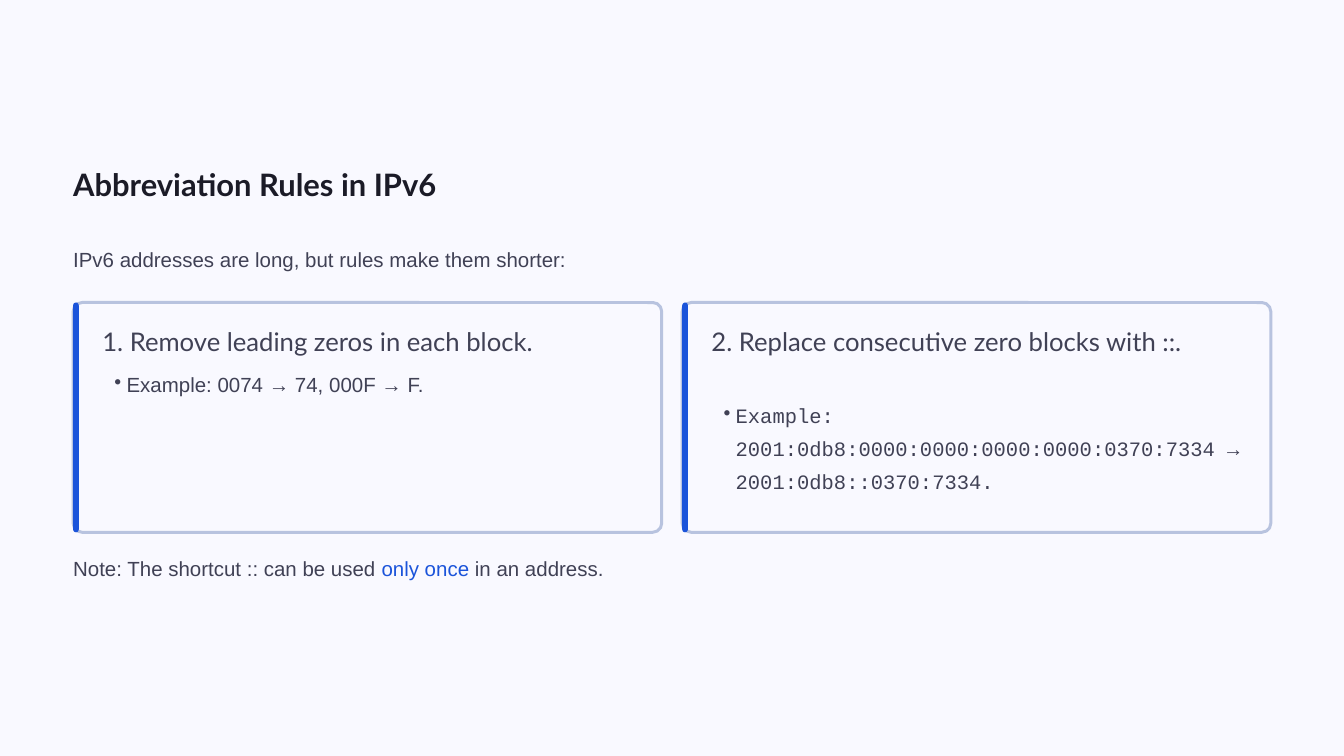
from lxml.etree import SubElement
from pptx import Presentation
from pptx.dml.color import RGBColor
from pptx.enum.shapes import MSO_SHAPE
from pptx.enum.text import MSO_ANCHOR, MSO_AUTO_SIZE, PP_ALIGN
from pptx.oxml.ns import qn
from pptx.util import Pt

# Content
TITLE = "Abbreviation Rules in IPv6"
INTRO = [("IPv6 addresses are long, but rules make them shorter:", "body")]
NOTE = [
    ("Note: The shortcut :: can be used ", "body"),
    ("only once", "accent"),
    (" in an address.", "body"),
]
# Each rule: heading, heading height, example, example style, example top, example height
RULES = [
    ("1. Remove leading zeros in each block.", 36.7,
     "Example: 0074 → 74, 000F → F.", "body", 389.5, 46),
    ("2. Replace consecutive zero blocks with ::.", 72,
     "Example: 2001:0db8:0000:0000:0000:0000:0370:7334 → 2001:0db8::0370:7334.",
     "code", 422.6, 122.4),
]

# Format
COLORS = {"background": "F9F9FF", "title": "1B1B27", "body": "404155",
          "accent": "1B54DA", "border": "B8C3DF"}
STYLES = {
    "title": ({"name": "Lato", "size": Pt(33.1), "bold": True}, "title"),
    "heading": ({"name": "Lato", "size": Pt(27.5), "bold": False}, "body"),
    "body": ({"name": "Arial", "size": Pt(21.9), "bold": False}, "body"),
    "accent": ({"name": "Arial", "size": Pt(21.9), "bold": False}, "accent"),
    "code": ({"name": "Courier New", "size": Pt(21.9), "bold": False}, "body"),
}
SPACING = {"title": 41.2, "heading": 34.4, "body": 35.6, "code": 35.6}
FRAME = {"margin_left": 0, "margin_top": 0, "margin_right": 0, "margin_bottom": 0,
         "word_wrap": True, "vertical_anchor": MSO_ANCHOR.TOP,
         "auto_size": MSO_AUTO_SIZE.NONE}

# Layout in points
WIDTH, HEIGHT = 1440, 810
MARGIN = 78.4
CONTENT_WIDTH = WIDTH - 2 * MARGIN
GAP = 22
CARD_WIDTH = (CONTENT_WIDTH - GAP) / len(RULES)
CARD_TOP, CARD_HEIGHT, CARD_RADIUS = 324.1, 246.2, 9.6
BAR_WIDTH = 6
PADDING = 31.3
TEXT_WIDTH = 574
HEADING_TOP = 347.8


def color(name):
    return RGBColor.from_string(COLORS[name])


def write(shape, runs, bullet=False):
    """Fill a shape with one paragraph made of (text, style) runs."""
    frame = shape.text_frame
    for key, value in FRAME.items():
        setattr(frame, key, value)
    paragraph = frame.paragraphs[0]
    paragraph.alignment = PP_ALIGN.LEFT
    paragraph.line_spacing = Pt(SPACING[runs[0][1]])
    if bullet:
        paragraph.level = 1
        properties = paragraph._p.get_or_add_pPr()
        properties.set("marL", str(Pt(25.9)))
        properties.set("indent", str(-Pt(13)))
        SubElement(properties, qn("a:buChar")).set("char", "•")
    for text, style in runs:
        run = paragraph.add_run()
        run.text = text
        font_values, color_name = STYLES[style]
        for key, value in font_values.items():
            setattr(run.font, key, value)
        run.font.color.rgb = color(color_name)


def add_text(slide, left, top, width, height, runs, bullet=False):
    box = slide.shapes.add_textbox(Pt(left), Pt(top), Pt(width), Pt(height))
    write(box, runs, bullet)


def add_rounded(slide, left, width, radius, fill, border=None):
    shape = slide.shapes.add_shape(MSO_SHAPE.ROUNDED_RECTANGLE, Pt(left), Pt(CARD_TOP),
                                   Pt(width), Pt(CARD_HEIGHT))
    shape.adjustments[0] = radius / min(width, CARD_HEIGHT)
    shape.shadow.inherit = False
    shape.fill.solid()
    shape.fill.fore_color.rgb = color(fill)
    if border:
        shape.line.color.rgb = color(border)
        shape.line.width = Pt(3.2)
    else:
        shape.line.fill.background()


def main():
    presentation = Presentation()
    presentation.slide_width, presentation.slide_height = Pt(WIDTH), Pt(HEIGHT)
    slide = presentation.slides.add_slide(presentation.slide_layouts[5])
    slide.background.fill.solid()
    slide.background.fill.fore_color.rgb = color("background")

    # Title and introduction
    title = slide.shapes.title
    title.left, title.top, title.width, title.height = Pt(MARGIN), Pt(175.7), Pt(582), Pt(40)
    write(title, [(TITLE, "title")])
    add_text(slide, MARGIN, 255, CONTENT_WIDTH, 44, INTRO)

    # Rule cards
    for index, (heading, heading_height, example, style, top, height) in enumerate(RULES):
        left = MARGIN + index * (CARD_WIDTH + GAP)
        text_left = left + PADDING
        add_rounded(slide, left, CARD_WIDTH, CARD_RADIUS, "background", "border")
        add_rounded(slide, left, BAR_WIDTH, BAR_WIDTH / 2, "accent")
        add_text(slide, text_left, HEADING_TOP, TEXT_WIDTH, heading_height,
                 [(heading, "heading")])
        add_text(slide, text_left, top, TEXT_WIDTH, height, [(example, style)], bullet=True)

    # Closing note
    add_text(slide, MARGIN, 586.8, CONTENT_WIDTH, 46, NOTE)

    presentation.save("out.pptx")


if __name__ == "__main__":
    main()
